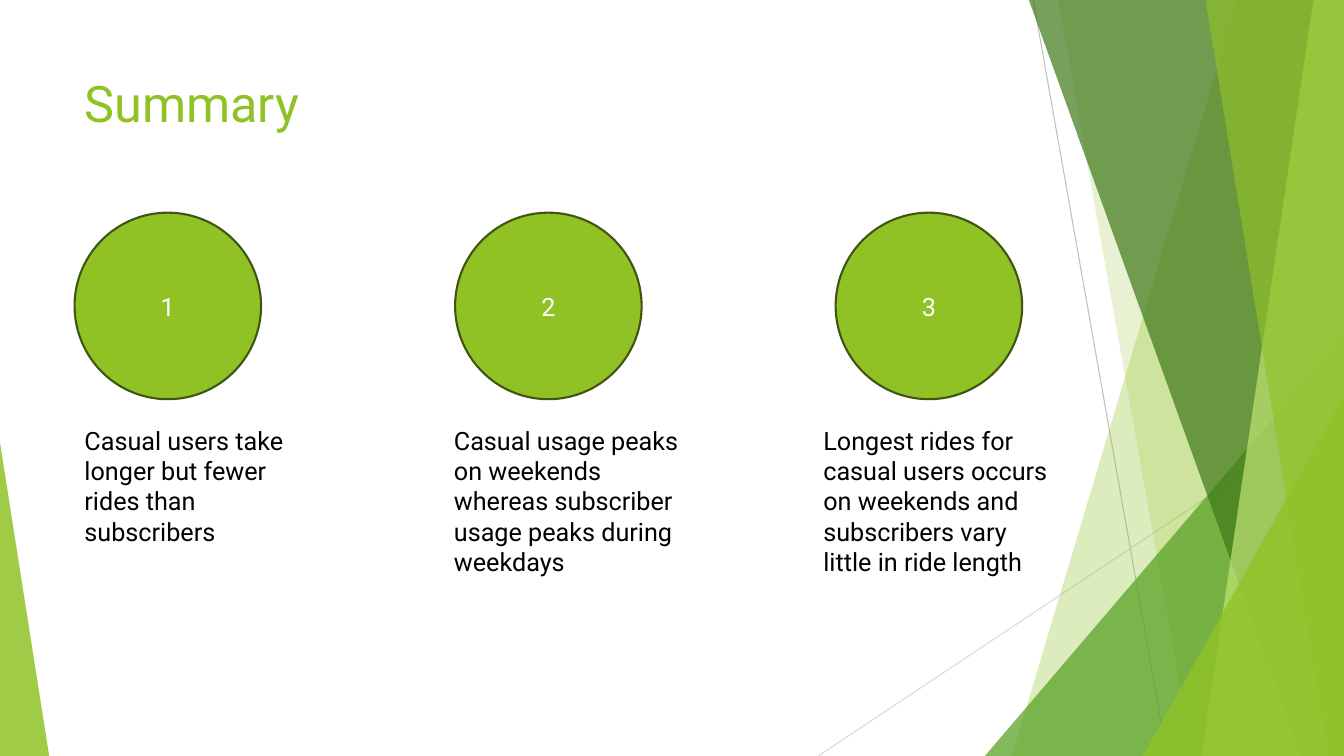
from lxml import etree
from pptx import Presentation
from pptx import util as u
from pptx.dml.color import RGBColor
from pptx.enum import shapes, text
from pptx.oxml import ns

WIDTH, HEIGHT = 33.87, 19.05  # slide size in cm
FONT = "Roboto"
COLORS = {
    "lime": "90C226", "leaf": "54A021", "forest": "3F7819", "pale": "C0E474",
    "outline": "3F5511", "gray": "BFBFBF", "light_gray": "D9D9D9",
    "white": "FFFFFF", "black": "000000",
}
POINTS = [
    "Casual users take longer but fewer rides than subscribers",
    "Casual usage peaks on weekends whereas subscriber usage peaks during weekdays",
    "Longest rides for casual users occurs on weekends and subscribers vary "
    "little in ride length",
]


def rgb(name):
    return RGBColor.from_string(COLORS[name])


def paint(shape, color, opacity=100):
    """Fill a shape, without shadow or line; opacity is in percent."""
    shape.shadow.inherit = False
    shape.fill.solid()
    shape.fill.fore_color.rgb = rgb(color)
    shape.line.fill.background()
    if opacity < 100:
        fill_color = shape.fill._xPr.find(".//" + ns.qn("a:srgbClr"))
        etree.SubElement(fill_color, ns.qn("a:alpha"), val=str(opacity * 1000))


def write(shape, content, size=18, color="black", align=text.PP_ALIGN.LEFT,
          anchor=text.MSO_ANCHOR.TOP):
    frame = shape.text_frame
    frame.word_wrap = True
    frame.vertical_anchor = anchor
    paragraph = frame.paragraphs[0]
    paragraph.alignment = align
    run = paragraph.add_run()
    run.text = content
    run.font.name = FONT
    run.font.size = u.Pt(size)
    run.font.color.rgb = rgb(color)


def add_text(slide, box, content, **style):
    shape = slide.shapes.add_textbox(*map(u.Cm, box))
    write(shape, content, **style)


def add_line(slide, ends, color):
    line = slide.shapes.add_connector(shapes.MSO_CONNECTOR.STRAIGHT, *map(u.Cm, ends))
    line.line.color.rgb = rgb(color)
    line.line.width = u.Pt(0.75)
    etree.SubElement(line._element.spPr, ns.qn("a:effectLst"))


def add_band(slide, box, top_x, bottom_x, color, opacity):
    """Band from a slanted left edge to the right side of the box."""
    left, top, width, height = box
    right, bottom = left + width, top + height
    corners = [(top_x, top), (right, top), (right, bottom), (bottom_x, bottom)]
    corners = [(u.Cm(x), u.Cm(y)) for x, y in corners]
    builder = slide.shapes.build_freeform(*corners[0])
    builder.add_line_segments(corners[1:], close=True)
    paint(builder.convert_to_shape(), color, opacity)


def add_triangle(slide, box, apex, color, opacity):
    kind = shapes.MSO_SHAPE.ISOSCELES_TRIANGLE
    triangle = slide.shapes.add_shape(kind, *map(u.Cm, box))
    triangle.adjustments[0] = apex
    paint(triangle, color, opacity)


def add_facets(slide, box):
    left, top, width, height = box
    right, bottom = left + width, top + height

    def corner_triangle(x, y, color, opacity):
        add_triangle(slide, (x, y, right - x, bottom - y), 1, color, opacity)

    # Thin lines
    add_line(slide, (26.04, top, 29.41, bottom), "gray")
    add_line(slide, (right, 10.24, 20.62, bottom), "light_gray")
    # Overlapping facets on the right, back to front
    add_band(slide, box, 31.19, 25.5, "lime", 30)
    add_band(slide, box, 26.67, 30.05, "lime", 20)
    corner_triangle(24.82, 8.46, "leaf", 72)
    add_band(slide, box, 25.93, 32.79, "forest", 70)
    add_band(slide, box, 33.1, 30.28, "pale", 70)
    add_band(slide, box, 30.38, 33.48, "lime", 65)
    corner_triangle(28.8, 9.98, "lime", 80)
    # Sliver at the lower left
    add_triangle(slide, (left, 11.15, 1.24, bottom - 11.15), 0, "lime", 85)


def add_summary(slide, box):
    left, top, width, height = box
    diameter, circle_step = 4.7, 9.59
    text_width, text_step, text_top = 6.48, 9.31, 5.23
    for index, point in enumerate(POINTS):
        # Numbered circle
        circle = slide.shapes.add_shape(
            shapes.MSO_SHAPE.OVAL, u.Cm(left + index * circle_step), u.Cm(top),
            u.Cm(diameter), u.Cm(diameter))
        paint(circle, "lime")
        circle.line.color.rgb = rgb("outline")
        circle.line.width = u.Pt(1.5)
        write(circle, str(index + 1), color="white", align=text.PP_ALIGN.CENTER,
              anchor=text.MSO_ANCHOR.MIDDLE)
        # Finding below it
        add_text(slide, (left + index * text_step, top + text_top,
                         text_width, height - text_top), point)


presentation = Presentation()
presentation.slide_width = u.Cm(WIDTH)
presentation.slide_height = u.Cm(HEIGHT)
slide = presentation.slides.add_slide(presentation.slide_layouts[6])
add_facets(slide, (0, 0, WIDTH, HEIGHT))
add_text(slide, (1.88, 1.7, 23.88, 3.66), "Summary", size=36, color="lime")
add_summary(slide, (1.88, 5.36, 25.1, 9.34))
presentation.save("out.pptx")
